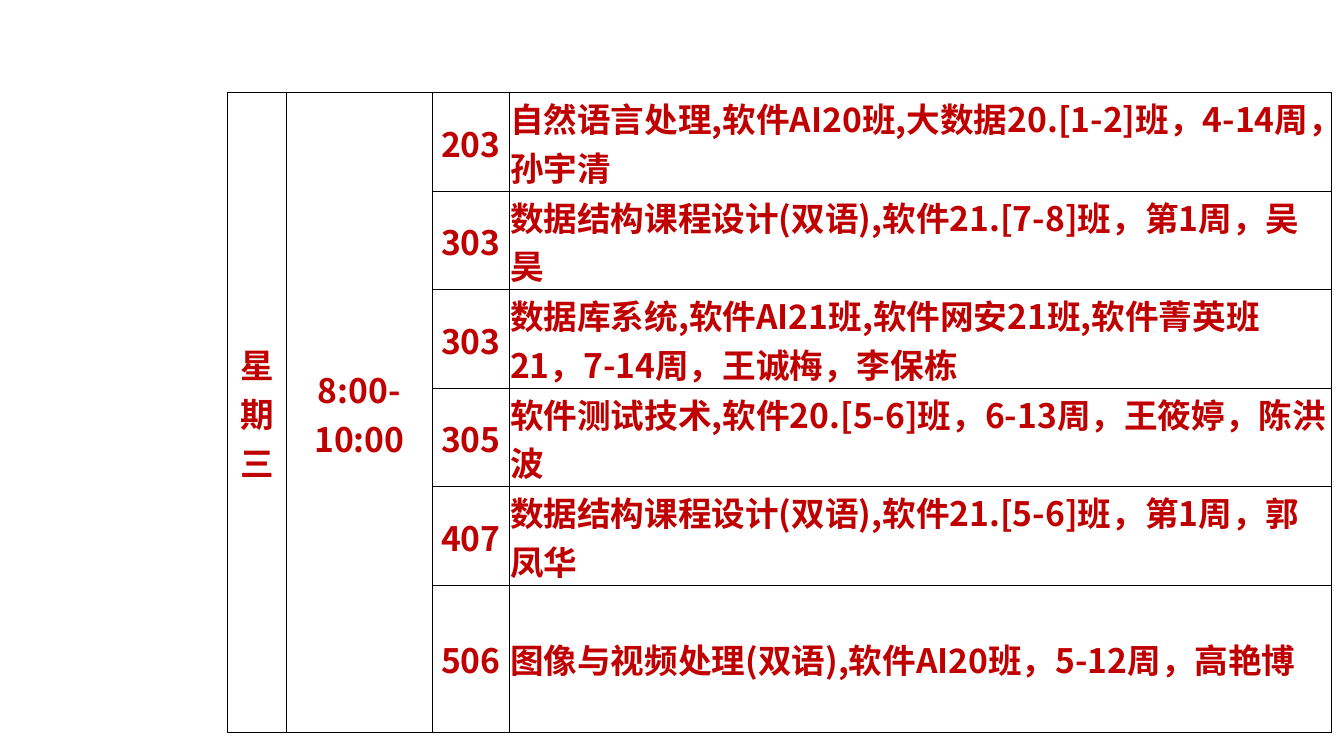
from dataclasses import dataclass

from lxml.etree import SubElement
from pptx import Presentation
from pptx.dml.color import RGBColor
from pptx.enum.text import MSO_ANCHOR, PP_ALIGN
from pptx.oxml.ns import qn
from pptx.util import Inches, Pt


@dataclass(frozen=True)
class Theme:
    """Colours, type and line sizes of the deck."""
    font: str = "Noto Sans CJK SC"
    size: float = 24
    text: str = "C00000"
    border: str = "000000"
    inner_line: float = 0.5
    outer_line: float = 1


THEME = Theme()
DAY = "星期三"
TIME = "8:00-10:00"
COURSES = [
    ("203", "自然语言处理,软件AI20班,大数据20.[1-2]班，4-14周，孙宇清"),
    ("303", "数据结构课程设计(双语),软件21.[7-8]班，第1周，吴昊"),
    ("303", "数据库系统,软件AI21班,软件网安21班,软件菁英班21，7-14周，王诚梅，李保栋"),
    ("305", "软件测试技术,软件20.[5-6]班，6-13周，王筱婷，陈洪波"),
    ("407", "数据结构课程设计(双语),软件21.[5-6]班，第1周，郭凤华"),
    ("506", "图像与视频处理(双语),软件AI20班，5-12周，高艳博"),
]
COLUMN_WIDTHS = [0.58, 1.45, 0.76, 8.16]


def draw_borders(cell, outer_sides):
    """Line all four sides of a cell, thicker on the outer ones."""
    properties = cell._tc.get_or_add_tcPr()
    for side in ("L", "R", "T", "B"):
        weight = THEME.outer_line if side in outer_sides else THEME.inner_line
        line = SubElement(properties, qn(f"a:ln{side}"), w=str(Pt(weight)))
        fill = SubElement(line, qn("a:solidFill"))
        SubElement(fill, qn("a:srgbClr"), val=THEME.border)


def write_cell(cell, text, alignment):
    """Set the text, type and margins of a cell."""
    cell.text_frame.text = text
    cell.vertical_anchor = MSO_ANCHOR.MIDDLE
    cell.margin_left = cell.margin_right = cell.margin_top = Inches(0.01)
    cell.margin_bottom = 0
    para = cell.text_frame.paragraphs[0]
    para.alignment = alignment
    for span in para.runs:
        span.font.name = THEME.font
        span.font.size = Pt(THEME.size)
        span.font.bold = True
        span.font.color.rgb = RGBColor.from_string(THEME.text)
        SubElement(span.font._element, qn("a:ea"), typeface=THEME.font)


def add_timetable(page, left, top, width, height):
    """Place the day's timetable in the given box."""
    last_row, last_column = len(COURSES) - 1, len(COLUMN_WIDTHS) - 1
    table = page.shapes.add_table(
        len(COURSES), len(COLUMN_WIDTHS),
        Inches(left), Inches(top), Inches(width), Inches(height),
    ).table
    table.first_row = table.horz_banding = False
    for column, share in zip(table.columns, COLUMN_WIDTHS):
        column.width = Inches(width * share / sum(COLUMN_WIDTHS))
    for row, course in enumerate(COURSES):
        texts = (DAY, TIME) if row == 0 else ("", "")
        for column, text in enumerate(texts + course):
            cell = table.cell(row, column)
            edges = {"L": column == 0, "R": column == last_column,
                     "T": row == 0, "B": row == last_row}
            draw_borders(cell, [side for side, outer in edges.items() if outer])
            cell.fill.background()
            alignment = PP_ALIGN.LEFT if column == last_column else PP_ALIGN.CENTER
            write_cell(cell, text, alignment)
    for column in (0, 1):
        table.cell(0, column).merge(table.cell(last_row, column))


def main():
    """Build and save the deck."""
    deck = Presentation()
    deck.slide_width, deck.slide_height = Inches(13.33), Inches(7.5)
    page = deck.slides.add_slide(deck.slide_layouts[6])
    add_timetable(page, 2.26, 0.92, 10.95, 5.67)
    deck.save("out.pptx")


if __name__ == "__main__":
    main()
